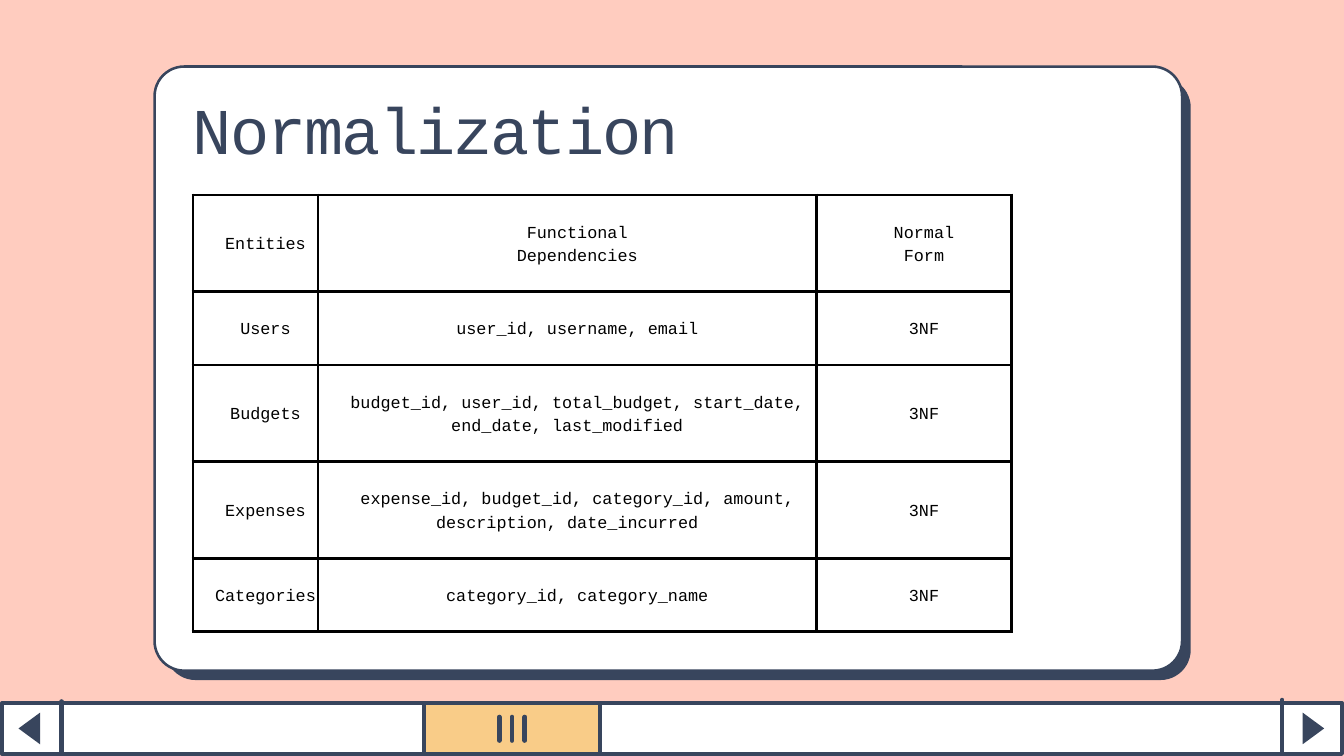
from dataclasses import dataclass
from typing import Optional

from lxml.etree import SubElement
from pptx import Presentation
from pptx.dml.color import RGBColor
from pptx.enum.shapes import MSO_CONNECTOR, MSO_SHAPE
from pptx.enum.text import MSO_ANCHOR, PP_ALIGN
from pptx.oxml import parse_xml
from pptx.oxml.ns import nsdecls, qn
from pptx.slide import Slide
from pptx.table import _Cell
from pptx.util import Emu, Inches, Pt

COLORS = {
    "background": "FFCCBF",
    "navy": "38455D",
    "white": "FFFFFF",
    "amber": "F9CC88",
    "black": "000000",
}
FONT = "Courier New"
GRID_COLUMNS, GRID_ROWS = 200, 112.5
CELL = Inches(20) / GRID_COLUMNS
BAR_TOP, BAR_HEIGHT = 104.65, 7.55
LINE_PITCH = Pt(25.2)
FIRST_LINE_INDENT = Inches(0.3)

COLUMN_WIDTHS = (18.6, 74.2, 29)
ROW_HEIGHTS = (14.4, 10.9, 14.4, 14.4, 10.9)
TABLE_ROWS = (
    ("Entities", "Functional\nDependencies", "Normal\nForm"),
    ("Users", "user_id, username, email", "3NF"),
    ("Budgets", "budget_id, user_id, total_budget, start_date, end_date, last_modified", "3NF"),
    ("Expenses", "expense_id, budget_id, category_id, amount, description, date_incurred", "3NF"),
    ("Categories", "category_id, category_name", "3NF"),
)


@dataclass(frozen=True)
class Panel:
    column: float
    row: float
    columns: float
    rows: float
    fill: str
    border: Optional[float] = None
    kind: MSO_SHAPE = MSO_SHAPE.RECTANGLE
    rotation: float = 0
    radius: float = 0


@dataclass(frozen=True)
class Upright:
    column: float
    top: float
    bottom: float
    width: float


CARD = (
    Panel(24.6, 11.5, 152.6, 89.7, "navy", None, MSO_SHAPE.ROUNDED_RECTANGLE, 0, 4.5),
    Panel(23, 9.9, 152.9, 89.9, "white", 2.75, MSO_SHAPE.ROUNDED_RECTANGLE, 0, 4.4),
)
SCROLL_BAR = (
    Panel(0.3, BAR_TOP, 199.4, BAR_HEIGHT, "white", 4.25),
    Panel(63.1, BAR_TOP, 26.2, BAR_HEIGHT, "amber", 4.25),
    Panel(2, 106.8, 4.7, 3.2, "navy", None, MSO_SHAPE.ISOSCELES_TRIANGLE, 270),
    Panel(193.1, 106.8, 4.7, 3.2, "navy", None, MSO_SHAPE.ISOSCELES_TRIANGLE, 90),
)
UPRIGHTS = (
    Upright(9.2, 104.4, 112.5, 5),
    Upright(190.8, 104.1, 112.2, 3.75),
    *(Upright(74.3 + 1.9 * index, 106.7, 110.2, 5) for index in range(3)),
)


def grid(count: float) -> Emu:
    return Emu(round(count * CELL))


def color(name: str) -> RGBColor:
    return RGBColor.from_string(COLORS[name])


def draw_panel(page: Slide, panel: Panel) -> None:
    shape = page.shapes.add_shape(
        panel.kind, grid(panel.column), grid(panel.row), grid(panel.columns), grid(panel.rows)
    )
    shape.shadow.inherit = False
    shape.rotation = panel.rotation
    if panel.radius:
        shape.adjustments[0] = panel.radius / min(panel.columns, panel.rows)
    shape.fill.solid()
    shape.fill.fore_color.rgb = color(panel.fill)
    if panel.border:
        shape.line.color.rgb = color("navy")
        shape.line.width = Pt(panel.border)
    else:
        shape.line.fill.background()


def draw_upright(page: Slide, upright: Upright) -> None:
    line = page.shapes.add_connector(
        MSO_CONNECTOR.STRAIGHT,
        grid(upright.column), grid(upright.bottom), grid(upright.column), grid(upright.top),
    )
    line.line.color.rgb = color("navy")
    line.line.width = Pt(upright.width)
    line.line._get_or_add_ln().set("cap", "rnd")
    SubElement(line._element.spPr, qn("a:effectLst"))


def draw_title(page: Slide, text: str) -> None:
    box = page.shapes.add_textbox(grid(28.7), grid(14.2), grid(110.3), grid(11))
    frame = box.text_frame
    frame.word_wrap = True
    frame.margin_left = frame.margin_right = frame.margin_top = frame.margin_bottom = 0
    para = frame.paragraphs[0]
    para.line_spacing = Pt(77)
    span = para.add_run()
    span.text = text
    para.font.name = FONT
    para.font.size = Pt(70)
    para.font.color.rgb = color("navy")
    span._r.get_or_add_rPr().set("spc", "-210")


def draw_cell(cell: _Cell, text: str) -> None:
    cell.margin_left = cell.margin_right = cell.margin_top = cell.margin_bottom = 0
    cell.vertical_anchor = MSO_ANCHOR.MIDDLE
    cell.fill.background()
    properties = cell._tc.get_or_add_tcPr()
    for position, side in enumerate(("lnL", "lnR", "lnT", "lnB")):
        border = parse_xml(
            f'<a:{side} {nsdecls("a")} w="{Pt(3)}"><a:solidFill>'
            f'<a:srgbClr val="{COLORS["black"]}"/></a:solidFill></a:{side}>'
        )
        properties.insert(position, border)
    cell.text_frame.text = text
    for para in cell.text_frame.paragraphs:
        para.alignment = PP_ALIGN.CENTER
        para.line_spacing = LINE_PITCH
        para._p.get_or_add_pPr().set("indent", str(FIRST_LINE_INDENT))
        para.font.name = FONT
        para.font.size = Pt(18)
        para.font.color.rgb = color("black")


def draw_table(page: Slide) -> None:
    table = page.shapes.add_table(
        len(ROW_HEIGHTS), len(COLUMN_WIDTHS),
        grid(28.7), grid(29), grid(sum(COLUMN_WIDTHS)), grid(sum(ROW_HEIGHTS)),
    ).table
    table.first_row = table.horz_banding = False
    for column, width in zip(table.columns, COLUMN_WIDTHS):
        column.width = grid(width)
    for row, height, texts in zip(table.rows, ROW_HEIGHTS, TABLE_ROWS):
        row.height = grid(height)
        for cell, text in zip(row.cells, texts):
            draw_cell(cell, text)


def main() -> None:
    deck = Presentation()
    deck.slide_width, deck.slide_height = grid(GRID_COLUMNS), grid(GRID_ROWS)
    page = deck.slides.add_slide(deck.slide_layouts[6])
    page.background.fill.solid()
    page.background.fill.fore_color.rgb = color("background")
    for panel in CARD + SCROLL_BAR:
        draw_panel(page, panel)
    for upright in UPRIGHTS:
        draw_upright(page, upright)
    draw_table(page)
    draw_title(page, "Normalization")
    deck.save("out.pptx")


if __name__ == "__main__":
    main()
